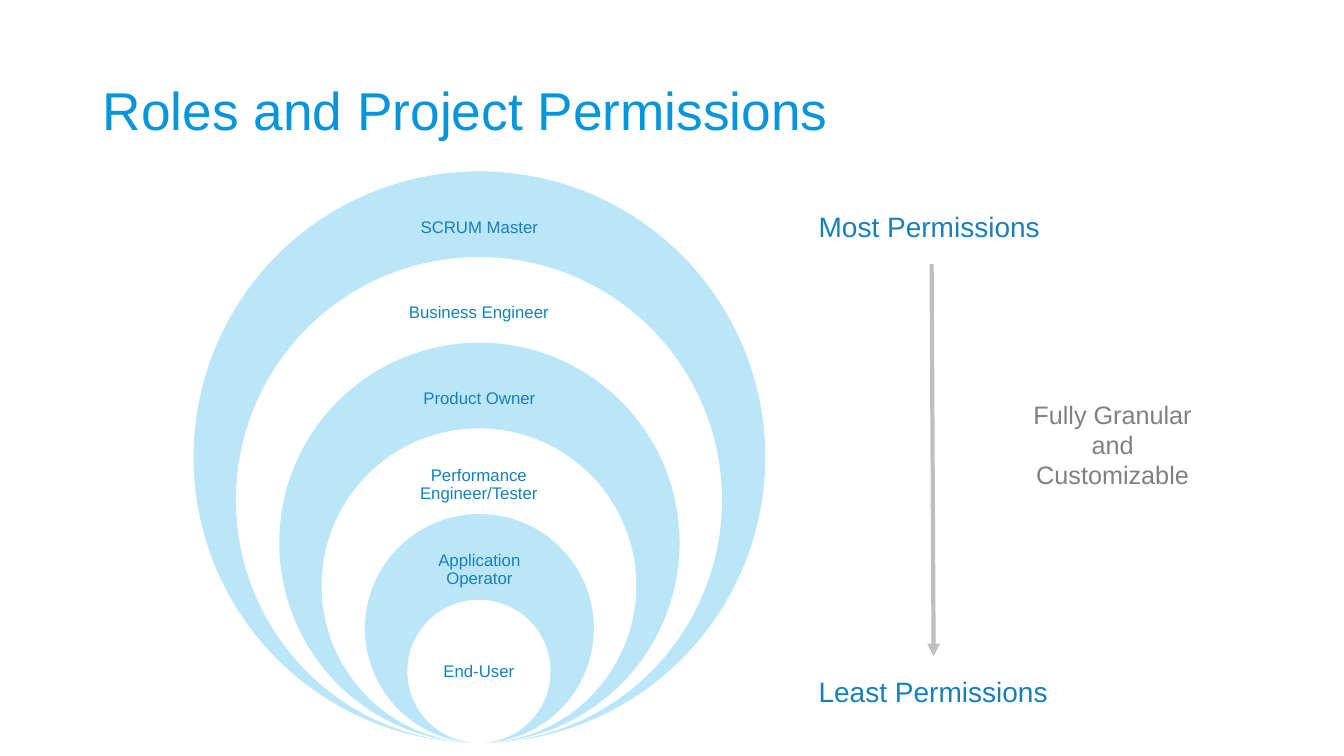
from lxml.etree import SubElement
from pptx import Presentation
from pptx.dml.color import RGBColor
from pptx.enum.shapes import MSO_CONNECTOR, MSO_SHAPE
from pptx.enum.text import MSO_ANCHOR, MSO_AUTO_SIZE, PP_ALIGN
from pptx.oxml.ns import qn
from pptx.util import Pt

EMU_PER_PX = 9144
FONT = "Arial"
COLORS = {
    "title": "0595DB",
    "label": "1780B9",
    "note": "808080",
    "arrow": "BFBFBF",
    "ring": "BBE6F8",
    "gap": "FFFFFF",
}
ROLES = [
    ("SCRUM Master", 213),
    ("Business Engineer", 208),
    ("Product Owner", 205),
    ("Performance Engineer/Tester", 168),
    ("Application Operator", 147),
    ("End-User", 100),
]
CENTER_X, RINGS_BOTTOM = 475, 737
OUTER_DIAMETER, RING_STEP = 567, 85


def px(*lengths):
    """Turn pixel lengths into EMU."""
    return [length * EMU_PER_PX for length in lengths]


def color(name):
    """Look up a palette colour."""
    return RGBColor.from_string(COLORS[name])


class SlideBuilder:
    """Holds the style and the current slide."""

    def __init__(self, presentation):
        """Add a title-only slide."""
        self.slide = presentation.slides.add_slide(presentation.slide_layouts[5])

    def set_text(self, shape, text, size, color_name, align, anchor, spacing, inset=None):
        """Fill a shape with one formatted paragraph."""
        frame = shape.text_frame
        frame.text = text
        frame.word_wrap = True
        frame.auto_size = MSO_AUTO_SIZE.NONE
        frame.vertical_anchor = anchor
        if inset is not None:
            frame.margin_left, frame.margin_top, frame.margin_right, frame.margin_bottom = px(*[inset] * 4)
        paragraph = frame.paragraphs[0]
        paragraph.alignment = align
        paragraph.line_spacing = spacing
        font = paragraph.runs[0].font
        font.name, font.size = FONT, Pt(size)
        font.color.rgb = color(color_name)

    def title(self, text, left, top, width, height):
        """Place the slide title."""
        shape = self.slide.shapes.title
        shape.left, shape.top, shape.width, shape.height = px(left, top, width, height)
        self.set_text(shape, text, 38, "title", PP_ALIGN.LEFT, MSO_ANCHOR.MIDDLE, 0.9)

    def circle(self, left, top, diameter, fill):
        """Draw a filled circle without an outline."""
        shape = self.slide.shapes.add_shape(MSO_SHAPE.OVAL, *px(left, top, diameter, diameter))
        shape.shadow.inherit = False
        shape.fill.solid()
        shape.fill.fore_color.rgb = color(fill)
        shape.line.fill.background()

    def role(self, text, left, top, width, height):
        """Put a role name inside its ring."""
        shape = self.slide.shapes.add_textbox(*px(left, top, width, height))
        self.set_text(shape, text, 12, "label", PP_ALIGN.CENTER, MSO_ANCHOR.MIDDLE, 0.9, 9)

    def caption(self, text, box, size, color_name, align=PP_ALIGN.LEFT):
        """Place a free caption."""
        shape = self.slide.shapes.add_textbox(*px(*box))
        self.set_text(shape, text, size, color_name, align, MSO_ANCHOR.TOP, 1.0)

    def arrow(self, start_x, start_y, end_x, end_y):
        """Draw a line with an arrowhead at its end."""
        connector = self.slide.shapes.add_connector(
            MSO_CONNECTOR.STRAIGHT, *px(start_x, start_y, end_x, end_y))
        connector.line.color.rgb = color("arrow")
        connector.line.width = Pt(3)
        properties = connector._element.spPr
        SubElement(properties.find(qn("a:ln")), qn("a:tailEnd"), type="triangle")
        SubElement(properties, qn("a:effectLst"))


def main():
    """Build and save the slide."""
    presentation = Presentation()
    presentation.slide_width, presentation.slide_height = px(1333, 750)
    builder = SlideBuilder(presentation)
    builder.title("Roles and Project Permissions", 92, 40, 1150, 145)

    for index, (name, width) in enumerate(ROLES):
        diameter = OUTER_DIAMETER - index * RING_STEP
        top = RINGS_BOTTOM - diameter
        builder.circle(CENTER_X - diameter // 2, top, diameter, ("ring", "gap")[index % 2])
        innermost = index == len(ROLES) - 1
        offset, height = (36, 71) if innermost else (28, 56)
        builder.role(name, CENTER_X - width // 2, top + offset, width, height)

    builder.caption("Most Permissions", (802, 203, 249, 44), 20, "label")
    builder.caption("Least Permissions", (802, 664, 249, 44), 20, "label")
    builder.caption("Fully Granular and Customizable", (1005, 391, 197, 101), 18, "note", PP_ALIGN.CENTER)
    builder.arrow(924, 262, 926, 651)
    presentation.save("out.pptx")


if __name__ == "__main__":
    main()
